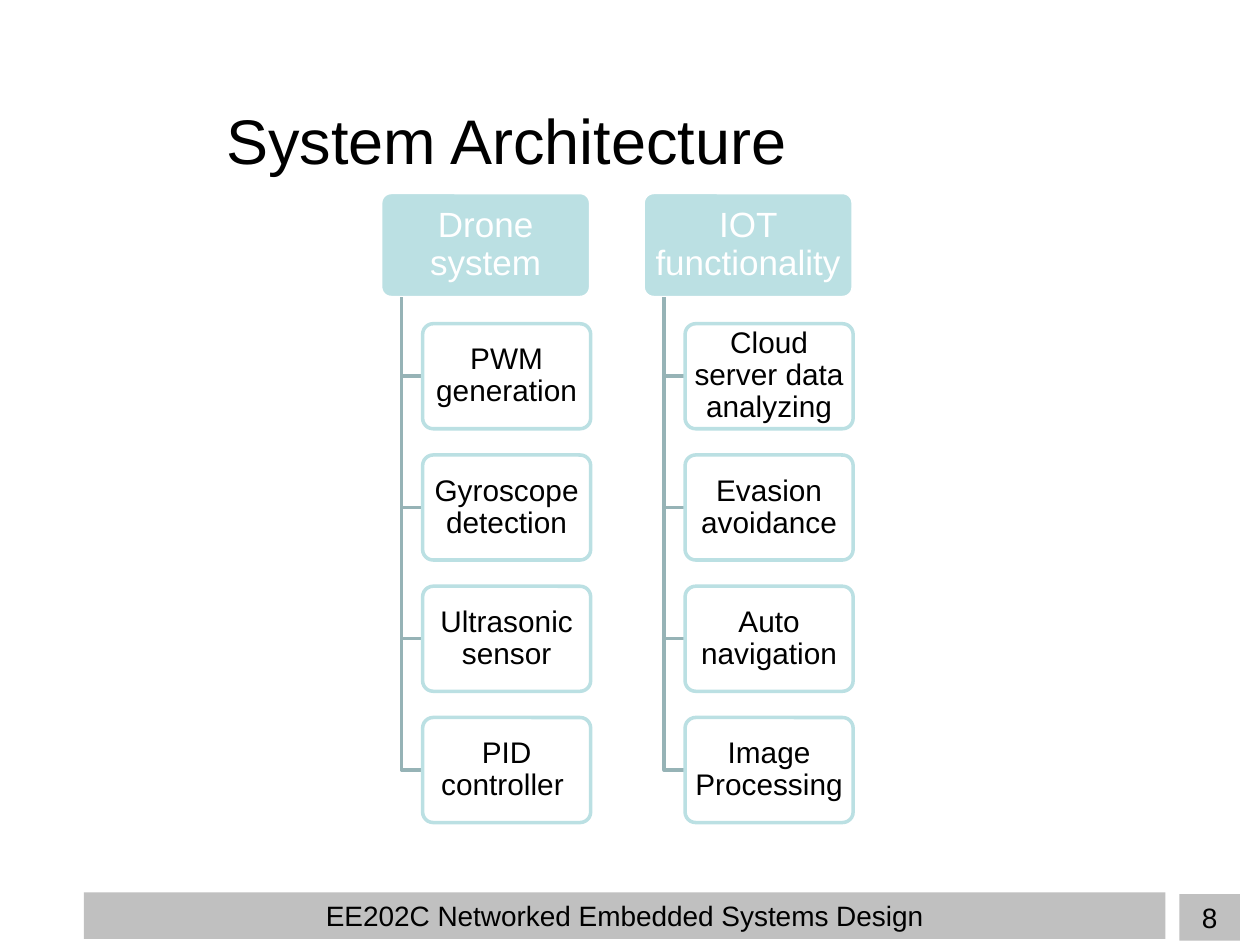
from lxml.etree import SubElement
from pptx import Presentation
from pptx.dml.color import RGBColor
from pptx.enum.shapes import MSO_SHAPE
from pptx.enum.text import MSO_ANCHOR, PP_ALIGN
from pptx.oxml.ns import qn
from pptx.util import Pt

BLACK = RGBColor(0x00, 0x00, 0x00)
WHITE = RGBColor(0xFF, 0xFF, 0xFF)
GREY = RGBColor(0xC0, 0xC0, 0xC0)
AQUA = RGBColor(0xBB, 0xE0, 0xE3)
BRANCH = RGBColor(0x96, 0xB3, 0xB6)

NODE_HEIGHT = 60
ROW_PITCH = 75
COLUMN_PITCH = 150
INDENT = 24

COLUMNS = {
    "Drone system": ["PWM generation", "Gyroscope detection",
                     "Ultrasonic sensor", "PID controller "],
    "IOT functionality": ["Cloud server data analyzing", "Evasion avoidance",
                          "Auto navigation", "Image Processing"],
}


def write_text(shape, text, size, color, anchor):
    """Put one centred paragraph into a shape."""
    frame = shape.text_frame
    frame.word_wrap = True
    frame.vertical_anchor = anchor
    para = frame.paragraphs[0]
    para.text = text
    para.alignment = PP_ALIGN.CENTER
    para.font.size = Pt(size)
    para.font.name = "Arial"
    para.font.color.rgb = color
    return frame


def add_title(page, left, top, width, height, text):
    """Place the slide title."""
    box = page.shapes.add_textbox(Pt(left), Pt(top), Pt(width), Pt(height))
    write_text(box, text, 36, BLACK, MSO_ANCHOR.MIDDLE)


def add_footer_bar(page, left, top, width, height, text):
    """Place a grey footer bar with its text."""
    bar = page.shapes.add_shape(MSO_SHAPE.RECTANGLE, Pt(left), Pt(top), Pt(width), Pt(height))
    bar.shadow.inherit = False
    bar.fill.solid()
    bar.fill.fore_color.rgb = GREY
    bar.line.fill.background()
    write_text(bar, text, 16, BLACK, MSO_ANCHOR.TOP)


def add_node(page, left, top, width, text, size, color, fill, line):
    """Place one rounded node of the hierarchy."""
    node = page.shapes.add_shape(MSO_SHAPE.ROUNDED_RECTANGLE, Pt(left), Pt(top),
                                 Pt(width), Pt(NODE_HEIGHT))
    node.adjustments[0] = 0.1
    node.shadow.inherit = False
    node.fill.solid()
    node.fill.fore_color.rgb = fill
    node.line.color.rgb = line
    node.line.width = Pt(2)
    frame = write_text(node, text, size, color, MSO_ANCHOR.MIDDLE)
    frame.margin_left = frame.margin_right = Pt(2.5)
    frame.margin_top = frame.margin_bottom = Pt(1.5)
    frame.paragraphs[0].line_spacing = 0.9
    return node


def add_branch(page, left, top, right, bottom):
    """Draw an elbow line from a header down to a child node."""
    builder = page.shapes.build_freeform(Pt(left), Pt(top))
    builder.add_line_segments([(Pt(left), Pt(bottom)), (Pt(right), Pt(bottom))], close=False)
    branch = builder.convert_to_shape()
    branch.shadow.inherit = False
    branch.fill.background()
    branch.line.color.rgb = BRANCH
    branch.line.width = Pt(2)


def add_column(page, left, top, width, header, children):
    """Place a header node with its children hanging below it."""
    add_node(page, left, top, width, header, 20, WHITE, AQUA, WHITE)
    child_left = left + INDENT
    for row, child in enumerate(children, start=1):
        child_top = top + row * ROW_PITCH
        add_branch(page, left + INDENT / 2, top + NODE_HEIGHT,
                   child_left, child_top + NODE_HEIGHT / 2)
        node = add_node(page, child_left, child_top, width - INDENT, child,
                        17, BLACK, WHITE, AQUA)
        fill_color = node.fill._xPr.find(qn("a:solidFill"))[0]
        SubElement(fill_color, qn("a:alpha"), val="90000")


def main():
    """Build the slide and save it."""
    deck = Presentation()
    deck.slide_width, deck.slide_height = Pt(720), Pt(540)
    page = deck.slides.add_slide(deck.slide_layouts[6])
    add_footer_bar(page, 674, 511, 34.5, 26.6, "8")
    add_footer_bar(page, 48, 510, 618, 26.6, "EE202C Networked Embedded Systems Design")
    add_title(page, 24.5, 39, 530, 81, "System Architecture")
    for index, (header, children) in enumerate(COLUMNS.items()):
        add_column(page, 217.5 + index * COLUMN_PITCH, 110, 120, header, children)
    deck.save("out.pptx")


if __name__ == "__main__":
    main()
